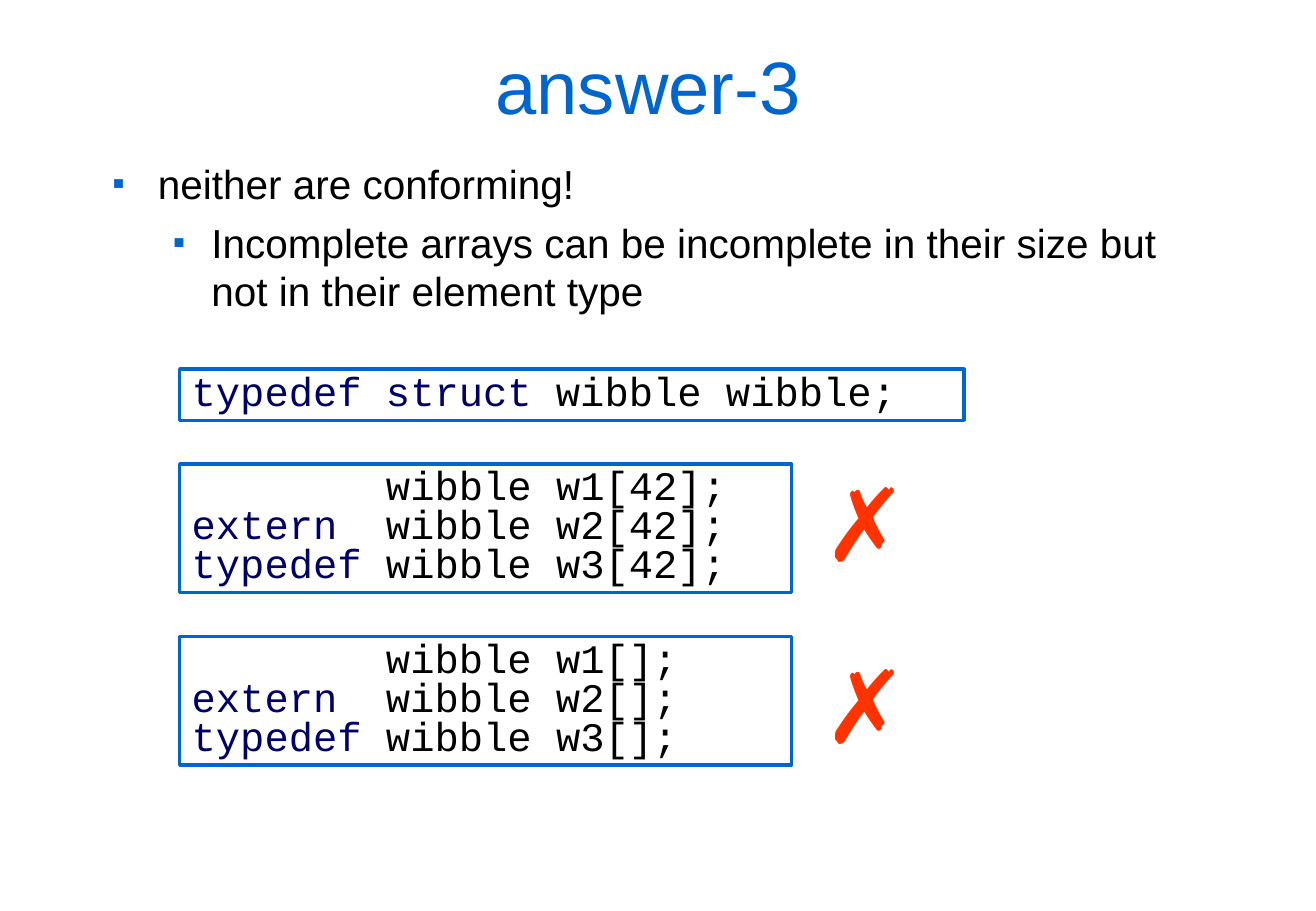
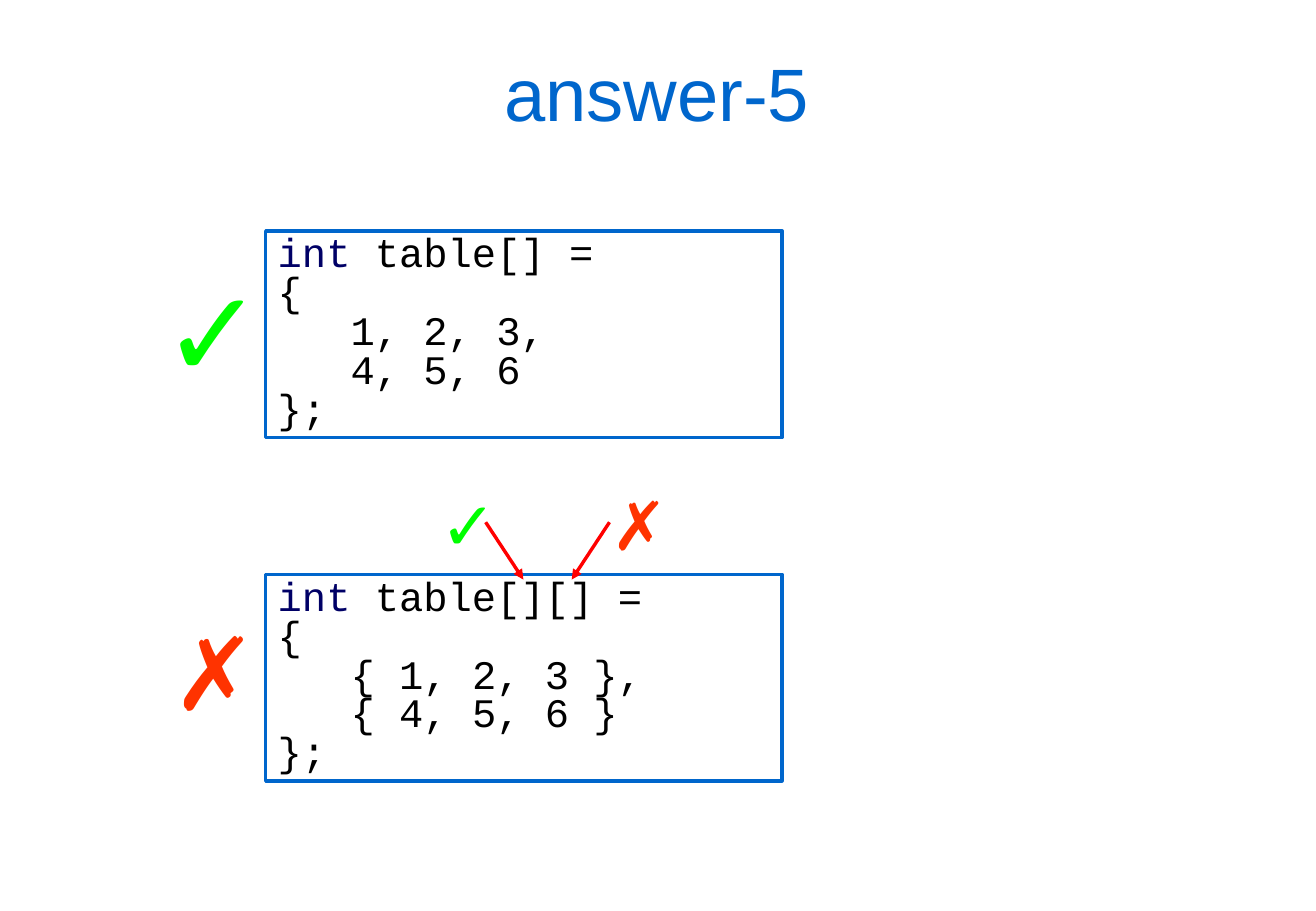
from itertools import takewhile

from lxml import etree
from pptx import Presentation
from pptx.dml.color import RGBColor
from pptx.enum import shapes, text
from pptx.oxml import ns
from pptx.util import Cm, Pt

COLOURS = {
    "blue": "0066CC", "keyword": "000066", "black": "000000", "white": "FFFFFF",
    "good": "00FF00", "bad": "FF3300", "arrow": "FF0000",
}
KEYWORDS = {"typedef", "struct", "extern", "int"}
MARKS = {"good": "✓", "bad": "✗"}


def rgb(name):
    return RGBColor.from_string(COLOURS[name])


def write(frame, content, size=24, font="Arial", colour="black", spacing=1.0,
          align=text.PP_ALIGN.LEFT, anchor=text.MSO_ANCHOR.TOP,
          fit=text.MSO_AUTO_SIZE.SHAPE_TO_FIT_TEXT, keywords=()):
    """Fill a text frame line by line; leading keywords get their own colour."""
    frame.word_wrap = True
    frame.auto_size = fit
    frame.vertical_anchor = anchor
    for index, line in enumerate(content.split("\n")):
        paragraph = frame.paragraphs[0] if index == 0 else frame.add_paragraph()
        paragraph.alignment = align
        paragraph.line_spacing = spacing
        paragraph.space_before = Pt(0)
        head = " ".join(takewhile(lambda word: word in keywords, line.split(" ")))
        for part, part_colour in ((head, "keyword"), (line[len(head):], colour)):
            if part:
                run = paragraph.add_run()
                run.text = part
                run.font.size = Pt(size)
                run.font.name = font
                run.font.color.rgb = rgb(part_colour)


presentation = Presentation()
presentation.slide_width, presentation.slide_height = Cm(27.53), Cm(19.05)
content_layout, title_layout = (presentation.slide_layouts[i] for i in (1, 5))

# What each slide holds: lengths in cm, boxes as left, top, width, height
answers = [
    {
        "layout": content_layout,
        "title": ("answer-3", (2.31, 0.61, 22.5, 2.34)),
        "code": [
            ((3.76, 7.72, 16.41, 1.07), "typedef struct wibble wibble;"),
            ((3.76, 9.7, 12.8, 2.69),
             "        wibble w1[42];\nextern  wibble w2[42];\ntypedef wibble w3[42];"),
            ((3.76, 13.31, 12.8, 2.69),
             "        wibble w1[];\nextern  wibble w2[];\ntypedef wibble w3[];"),
        ],
        "marks": [
            ("bad", 60, (16.97, 9.5, 2.41, 2.79)),
            ("bad", 60, (16.97, 13.31, 2.41, 2.79)),
        ],
        "arrows": [],
    },
    {
        "layout": title_layout,
        "title": ("answer-5", (2.49, 0.51, 22.5, 2.82)),
        "code": [
            ((5.56, 4.83, 10.8, 4.32),
             "int table[] =\n{\n   1, 2, 3,\n   4, 5, 6\n};"),
            ((5.56, 12.01, 10.8, 4.32),
             "int table[][] =\n{\n   { 1, 2, 3 },\n   { 4, 5, 6 }\n};"),
        ],
        "marks": [
            ("good", 72, (3.15, 5.23, 3.2, 3.3)),
            ("bad", 60, (3.35, 12.62, 2.41, 2.79)),
            ("good", 40, (8.97, 9.98, 3.2, 1.93)),
            ("bad", 40, (12.55, 9.98, 2.41, 1.93)),
        ],
        "arrows": [(10.16, 10.92, 10.95, 12.12), (12.75, 10.92, 11.96, 12.12)],
    },
]

for answer in answers:
    slide = presentation.slides.add_slide(answer["layout"])

    # Title
    heading, box = answer["title"]
    title = slide.shapes.title
    title.left, title.top, title.width, title.height = map(Cm, box)
    write(title.text_frame, heading, size=44, colour="blue",
          align=text.PP_ALIGN.CENTER, anchor=text.MSO_ANCHOR.MIDDLE)

    # Code boxes
    for box, code in answer["code"]:
        shape = slide.shapes.add_shape(shapes.MSO_SHAPE.RECTANGLE, *map(Cm, box))
        shape.shadow.inherit = False
        shape.fill.solid()
        shape.fill.fore_color.rgb = rgb("white")
        shape.line.color.rgb = rgb("blue")
        shape.line.width = Pt(2)
        write(shape.text_frame, code, font="Courier New", spacing=0.8, keywords=KEYWORDS)

    # Ticks and crosses
    for verdict, size, box in answer["marks"]:
        mark = slide.shapes.add_textbox(*map(Cm, box))
        write(mark.text_frame, MARKS[verdict], size=size, colour=verdict)

    # Arrows to the brackets
    for ends in answer["arrows"]:
        arrow = slide.shapes.add_connector(shapes.MSO_CONNECTOR.STRAIGHT, *map(Cm, ends))
        arrow.line.color.rgb = rgb("arrow")
        arrow.line.width = Pt(2)
        etree.SubElement(arrow.line._get_or_add_ln(), ns.qn("a:tailEnd"), type="triangle")
        etree.SubElement(arrow._element.spPr, ns.qn("a:effectLst"))

# Bulleted explanation of the first answer
body = presentation.slides[0].placeholders[1]
body.left, body.top, body.width, body.height = map(Cm, (2.11, 3.2, 23.37, 14.88))
write(body.text_frame,
      "neither are conforming!\n"
      "Incomplete arrays can be incomplete in their size but not in their element type",
      fit=text.MSO_AUTO_SIZE.NONE)
bullet_levels = [(0.94, 0.94, 7), (2.06, 0.79, 6)]
for level, paragraph in enumerate(body.text_frame.paragraphs):
    margin, hanging, before = bullet_levels[level]
    paragraph.level = level
    paragraph.space_before = Pt(before if level else 0)
    properties = paragraph._p.get_or_add_pPr()
    properties.set("marL", str(Cm(margin)))
    properties.set("indent", str(-Cm(hanging)))
    bullet_colour = etree.SubElement(properties, ns.qn("a:buClr"))
    etree.SubElement(bullet_colour, ns.qn("a:srgbClr"), val=COLOURS["blue"])
    etree.SubElement(properties, ns.qn("a:buSzPct"), val="45000")
    etree.SubElement(properties, ns.qn("a:buFont"), typeface="Arial")
    etree.SubElement(properties, ns.qn("a:buChar"), char="■")

presentation.save("out.pptx")
